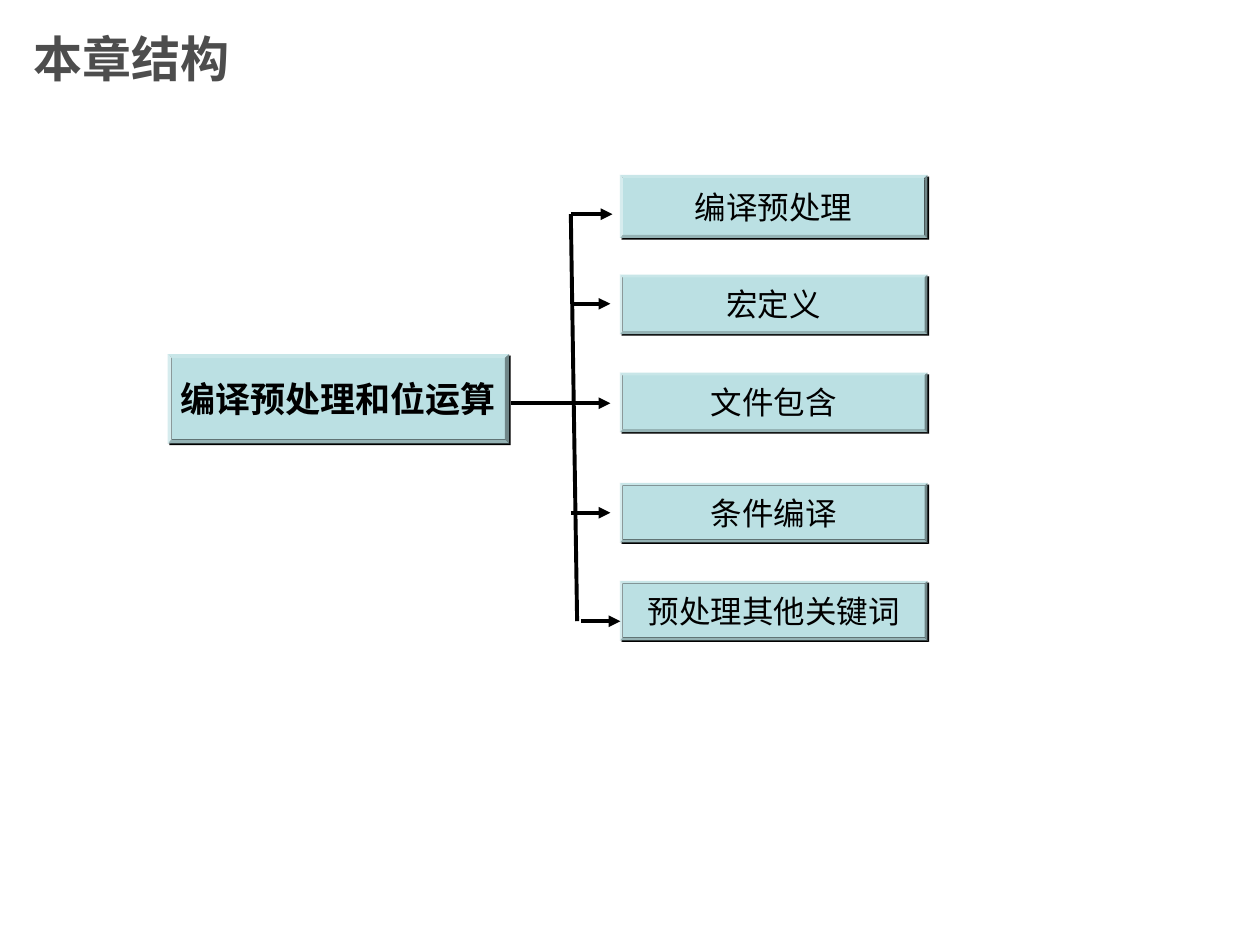
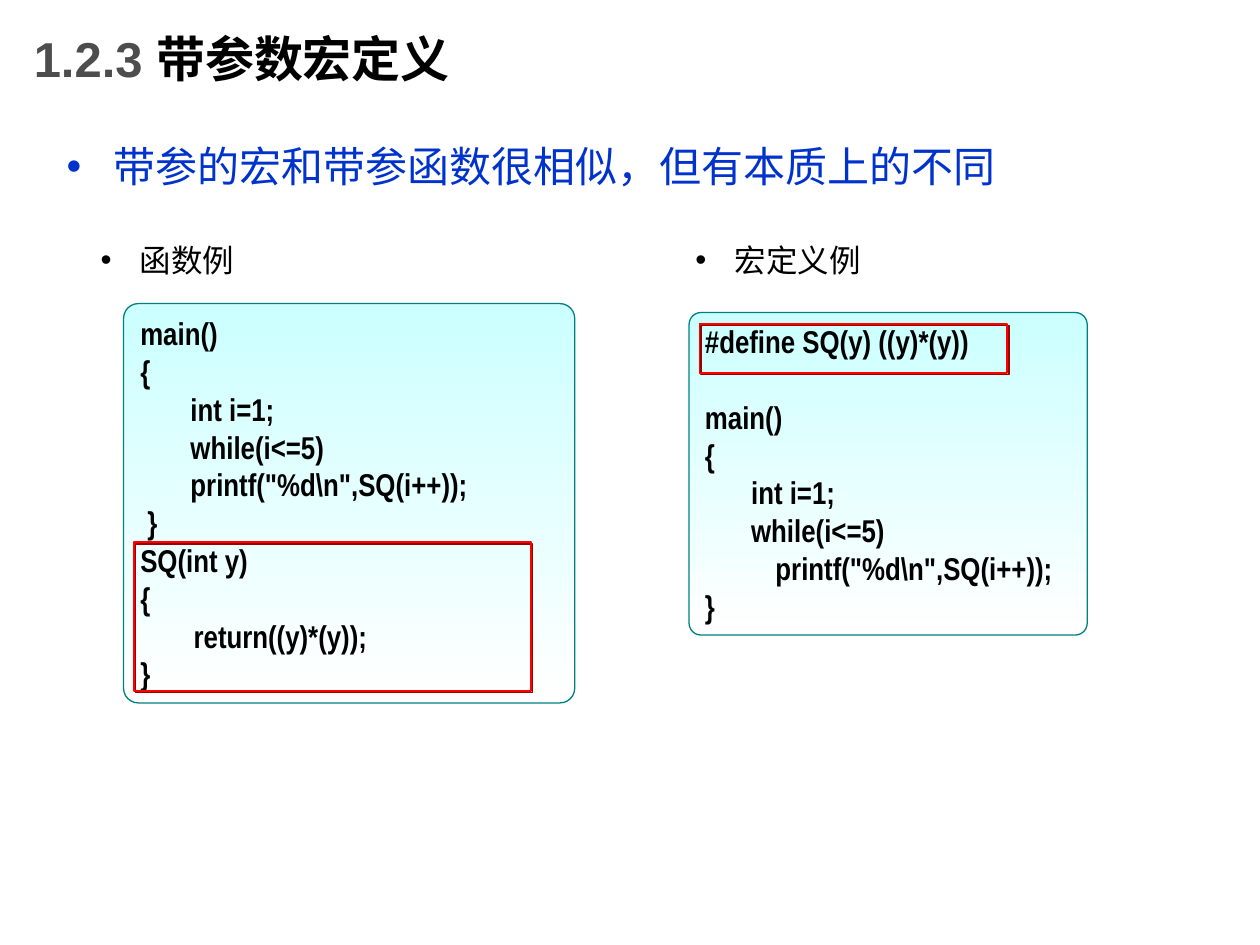
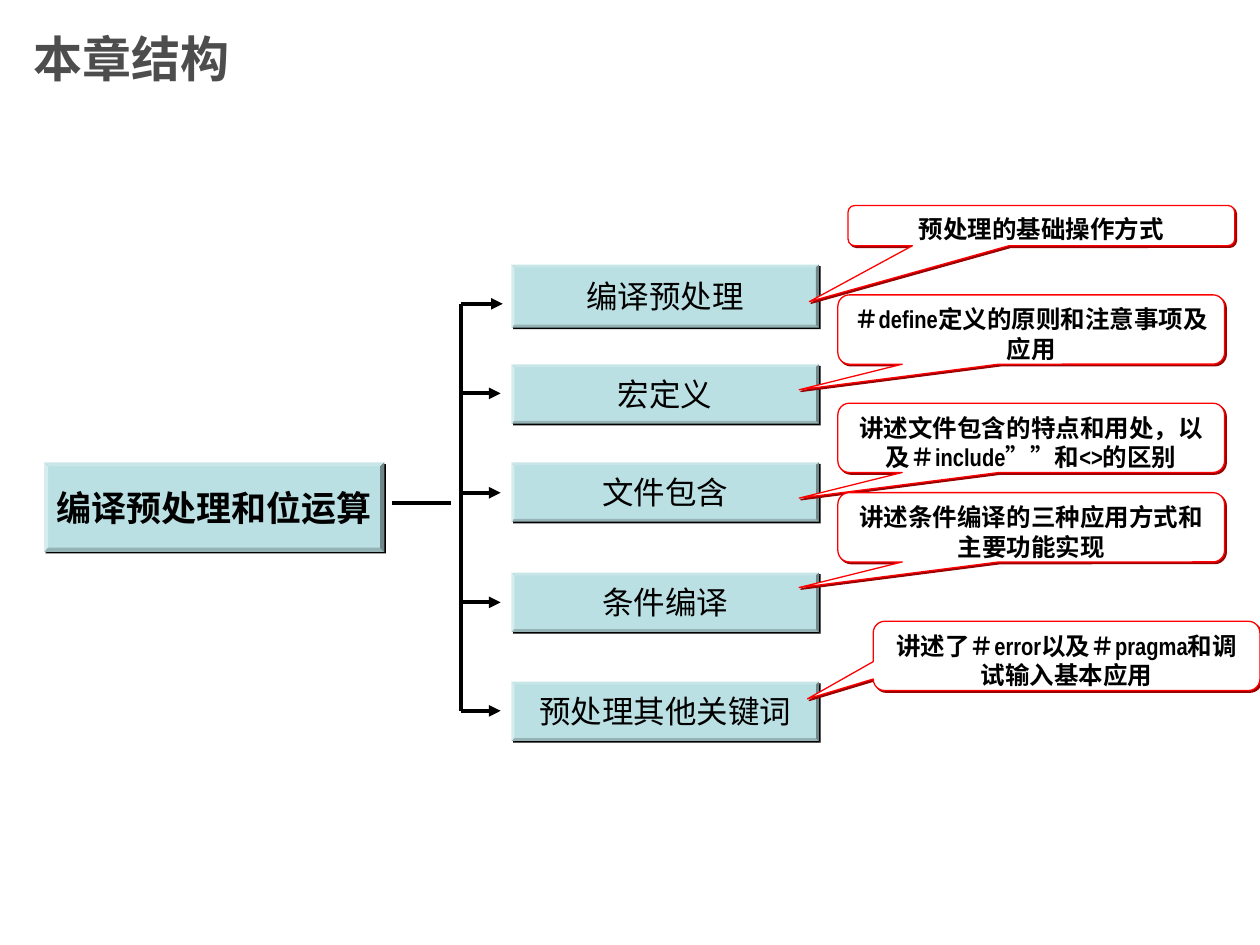
from lxml.etree import SubElement
from pptx import Presentation
from pptx.dml.color import RGBColor
from pptx.enum.shapes import MSO_CONNECTOR, MSO_SHAPE
from pptx.enum.text import MSO_ANCHOR, PP_ALIGN
from pptx.oxml.ns import qn
from pptx.util import Pt

BLACK, GREY, BLUE, RED = "000000", "4D4D4D", "0033CC", "FF0000"
AQUA, DARK_RED, TEAL, PALE, WHITE = "BBE0E3", "990000", "008080", "CCFFFF", "FFFFFF"
CJK = "Noto Sans CJK SC"

TITLE = dict(size=28, name="Arial", color=GREY, bold=True)
ROOT = dict(size=20, name=CJK, color=BLACK, bold=True)
LEAF = dict(size=18, name=CJK, color=BLACK)
POINT = dict(size=24, name="Arial", color=BLUE)
LABEL = dict(size=18, name="Arial", color=BLACK)
CODE = dict(size=18, name="Arial Narrow", color=BLACK, bold=True)
NOTE = dict(size=14, name="Arial Narrow", color=BLACK, bold=True)

CHAPTER = "编译预处理和位运算"
TOPICS = ["编译预处理", "宏定义", "文件包含", "条件编译", "预处理其他关键词"]
ARROW_DROPS = [22.4, 73.6, 130.4, 193, 255]

# Lengths in points; root is left, top, width, height; stem is from x, to x, y.
OPENING_TREE = dict(
    leaf_left=354.25, top=100, leaf_drops=[0, 57, 113, 176, 232],
    root=(95.75, 202.3, 195.1, 51.1), trunk=(326.2, 329.8),
    stem=(292.3, 326.2, 230.4), last_arrow_shift=5.7)
CLOSING_TREE = dict(
    leaf_left=292.3, top=151.2, leaf_drops=[0, 57, 113, 176, 238.3],
    root=(25.2, 264.2, 194.4, 51.1), trunk=(263.5, 263.5),
    stem=(223.9, 257.8, 287.3), last_arrow_shift=0)

# Left, top, height, pointer offsets, text
NOTES = [
    (484.6, 117.4, 23, (-0.6, 1.89), "预处理的基础操作方式"),
    (478.8, 168.5, 39.6, (-0.6, 0.87), "＃define定义的原则和注意事项及应用"),
    (478.8, 230.4, 39.6, (-0.6, 0.87), "讲述文件包含的特点和用处，以及＃include””和<>的区别"),
    (478.8, 281.5, 39.6, (-0.6, 0.87), "讲述条件编译的三种应用方式和主要功能实现"),
    (499, 355, 39.6, (-0.67, 0.62), "讲述了＃error以及＃pragma和调试输入基本应用"),
]

# Code lines are (indent, text) or (indent, text, space before)
EXAMPLES = [
    dict(label="函数例", label_left=14.4, panel=(70.6, 173.5, 257.8, 228.2),
         frame=(76.5, 309.8, 226.8, 85),
         code=[(0, "main()"), (0, "{"), (28.7, "int i=1;"), (28.7, "while(i<=5)"),
               (28.7, 'printf("%d\\n",SQ(i++));'), (4.1, "}"), (0, "SQ(int y)"),
               (0, "{"), (30.5, "return((y)*(y));"), (0, "}")]),
    dict(label="宏定义例", label_left=354.25, panel=(393.8, 178.6, 227.5, 184.3),
         frame=(399.8, 185, 175.7, 28.1),
         code=[(0, "#define SQ(y) ((y)*(y))"), (0, "main()", 21.6), (0, "{"),
               (26.4, "int i=1;"), (26.4, "while(i<=5)"),
               (40.3, 'printf("%d\\n",SQ(i++));'), (0, "}")]),
]


def rgb(value):
    return RGBColor.from_string(value)


def apply(target, **values):
    for name, value in values.items():
        setattr(target, name, value)


def write(para, text, style):
    span = para.add_run()
    span.text = text
    values = dict(style, size=Pt(style["size"]))
    span.font.color.rgb = rgb(values.pop("color"))
    apply(span.font, **values)
    SubElement(span.font._element, qn("a:ea"), typeface=CJK)


def indent(para, margin, first=0):
    properties = para._p.get_or_add_pPr()
    properties.set("marL", str(Pt(margin)))
    properties.set("indent", str(Pt(first)))
    return properties


def add_text_box(page, bounds, anchor=MSO_ANCHOR.TOP):
    box = page.shapes.add_textbox(*map(Pt, bounds))
    apply(box.text_frame, word_wrap=True, vertical_anchor=anchor)
    return box.text_frame.paragraphs[0]


def add_title(page, *spans):
    para = add_text_box(page, (12.25, 0, 540, 66.25), MSO_ANCHOR.MIDDLE)
    for text, color in spans:
        write(para, text, dict(TITLE, color=color))


def add_bullet(page, bounds, text, style, margin, hang, before):
    para = add_text_box(page, bounds)
    para.space_before = Pt(before)
    properties = indent(para, margin, -hang)
    color = SubElement(properties, qn("a:buClr"))
    SubElement(color, qn("a:srgbClr"), val=style["color"])
    SubElement(properties, qn("a:buFont"), typeface="Arial")
    SubElement(properties, qn("a:buChar"), char="•")
    write(para, text, style)


def add_block(page, kind, bounds, adjust=(), fill=None, line=None, weight=0.75, shadow=None):
    block = page.shapes.add_shape(kind, *map(Pt, bounds))
    for index, value in enumerate(adjust):
        block.adjustments[index] = value
    if fill:
        block.fill.solid()
        block.fill.fore_color.rgb = rgb(fill)
    else:
        block.fill.background()
    if line:
        block.line.color.rgb = rgb(line)
        block.line.width = Pt(weight)
    else:
        block.line.fill.background()
    block.shadow.inherit = False
    if shadow:
        effects = block._element.spPr.find(qn("a:effectLst"))
        cast = SubElement(effects, qn("a:outerShdw"), blurRad="0", dist=str(Pt(1.4)),
                          dir="2700000", algn="ctr", rotWithShape="0")
        SubElement(cast, qn("a:srgbClr"), val=shadow)
    return block


def add_bevel(page, bounds, text, style, before):
    block = add_block(page, MSO_SHAPE.BEVEL, bounds, [0.047], AQUA, shadow=BLACK)
    apply(block.text_frame, word_wrap=False, vertical_anchor=MSO_ANCHOR.MIDDLE)
    para = block.text_frame.paragraphs[0]
    apply(para, alignment=PP_ALIGN.CENTER, space_before=Pt(before))
    write(para, text, style)


def add_line(page, start, end, arrow=False):
    line = page.shapes.add_connector(MSO_CONNECTOR.STRAIGHT, *map(Pt, start + end))
    line.line.color.rgb = rgb(BLACK)
    line.line.width = Pt(2.25)
    if arrow:
        SubElement(line.line._get_or_add_ln(), qn("a:tailEnd"), type="triangle")
    SubElement(line._element.spPr, qn("a:effectLst"))


def add_tree(page, tree):
    add_bevel(page, tree["root"], CHAPTER, ROOT, 12.5)
    for index, (topic, drop) in enumerate(zip(TOPICS, tree["leaf_drops"])):
        height = 33.9 if index else 36
        add_bevel(page, (tree["leaf_left"], tree["top"] + drop, 175.7, height),
                  topic, LEAF, 11.2)

    arrow_ys = [tree["top"] + drop for drop in ARROW_DROPS]
    trunk_top, trunk_bottom = tree["trunk"]
    add_line(page, (trunk_top, arrow_ys[0]), (trunk_bottom, arrow_ys[-1]))
    stem_start, stem_end, stem_y = tree["stem"]
    add_line(page, (stem_start, stem_y), (stem_end, stem_y))
    for index, y in enumerate(arrow_ys):
        last = index == len(arrow_ys) - 1
        start = trunk_top + (tree["last_arrow_shift"] if last else 0)
        length = 22.6 if index else 23.8
        add_line(page, (start, y), (start + length, y), arrow=True)


def add_note(page, left, top, height, pointer, text):
    block = add_block(page, MSO_SHAPE.ROUNDED_RECTANGULAR_CALLOUT, (left, top, 221, height),
                      (*pointer, 0.167), WHITE, RED, shadow=DARK_RED)
    apply(block.text_frame, word_wrap=True, vertical_anchor=MSO_ANCHOR.TOP)
    para = block.text_frame.paragraphs[0]
    para.alignment = PP_ALIGN.CENTER
    write(para, text, NOTE)


def add_example(page, example):
    add_bullet(page, (example["label_left"], 133.9, 170, 39.6), example["label"],
               LABEL, 58.5, 22.5, 4.5)
    panel = add_block(page, MSO_SHAPE.ROUNDED_RECTANGLE, example["panel"], [0.037], line=TEAL)
    panel.fill.gradient()
    panel.fill.gradient_angle = 270
    for stop, color, position in zip(panel.fill.gradient_stops, (PALE, WHITE), (0, 1)):
        stop.color.rgb = rgb(color)
        stop.position = position

    frame = panel.text_frame
    apply(frame, word_wrap=True, vertical_anchor=MSO_ANCHOR.TOP)
    for index, (margin, text, *before) in enumerate(example["code"]):
        para = frame.add_paragraph() if index else frame.paragraphs[0]
        para.alignment = PP_ALIGN.LEFT
        if before:
            para.space_before = Pt(before[0])
        indent(para, margin)
        write(para, text, CODE)
    add_block(page, MSO_SHAPE.RECTANGLE, example["frame"], line=RED, weight=1, shadow=DARK_RED)


def main():
    deck = Presentation()
    apply(deck, slide_width=Pt(720), slide_height=Pt(540))
    opening, macros, closing = [deck.slides.add_slide(deck.slide_layouts[6]) for _ in range(3)]

    for page, tree in ((opening, OPENING_TREE), (closing, CLOSING_TREE)):
        add_title(page, ("本章结构", GREY))
        add_tree(page, tree)
    for note in NOTES:
        add_note(closing, *note)

    add_title(macros, ("1.2.3 ", GREY), ("带参数宏定义", BLACK))
    add_bullet(macros, (31, 77, 550, 39.6), "带参的宏和带参函数很相似，但有本质上的不同",
               POINT, 27, 27, 6)
    for example in EXAMPLES:
        add_example(macros, example)
    deck.save("out.pptx")


if __name__ == "__main__":
    main()
